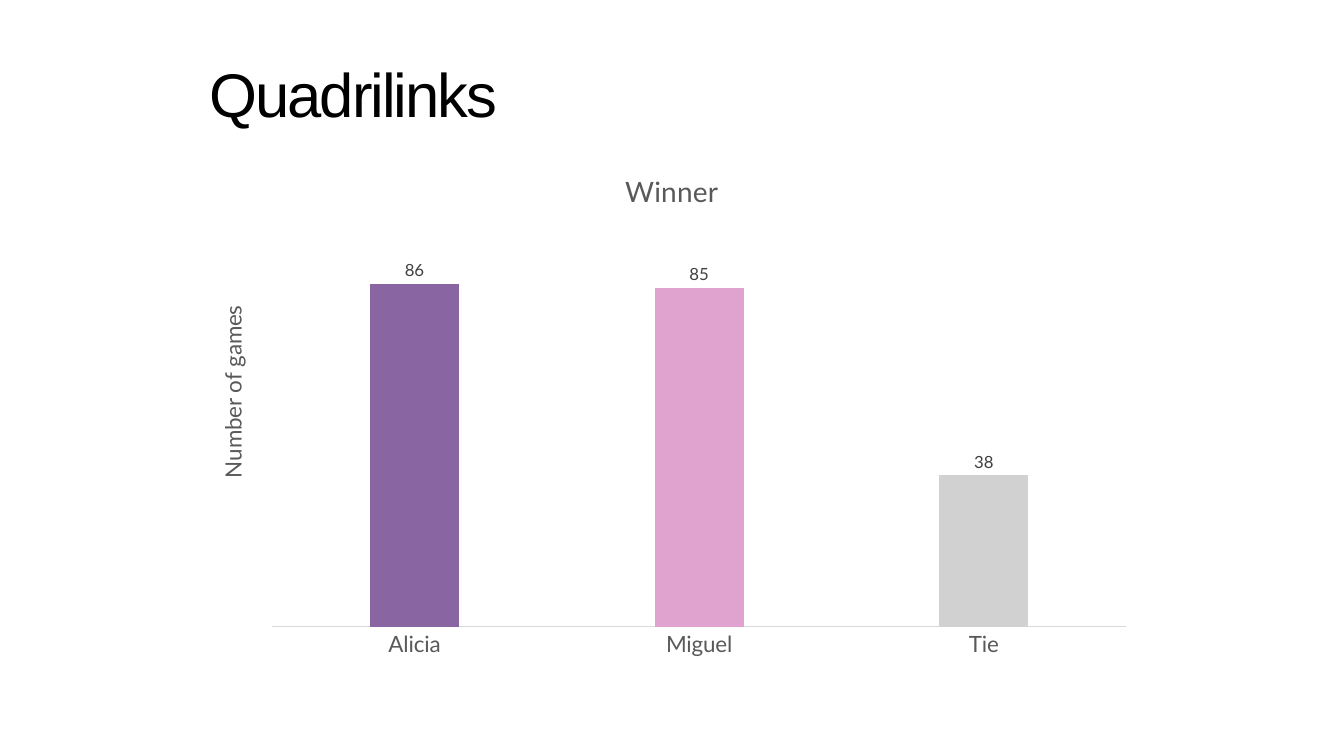
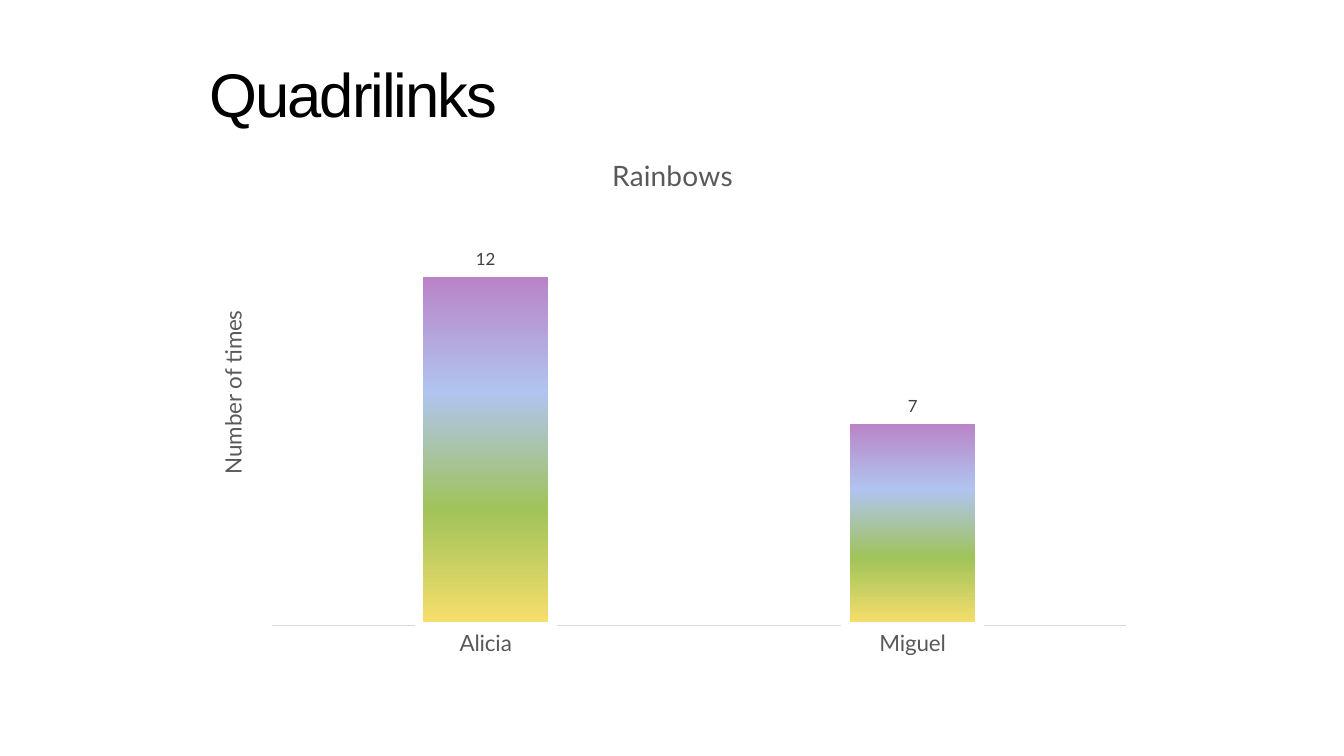
from dataclasses import dataclass

from lxml import etree
from pptx import Presentation
from pptx.chart.data import CategoryChartData
from pptx.dml.color import RGBColor
from pptx.enum import chart as charts, text as texts
from pptx.oxml.ns import qn
from pptx.util import Inches, Pt


@dataclass(frozen=True)
class Theme:
    title_font: str = "Arial"
    chart_font: str = "Lato"
    black: str = "000000"
    grey: str = "595959"
    label: str = "404040"
    axis: str = "D9D9D9"
    white: str = "FFFFFF"
    title_size: int = 44
    heading_size: int = 20
    axis_size: int = 16
    label_size: int = 12
    base_size: int = 10


THEME = Theme()
RAINBOW = [(0, "F9DF6D"), (33, "A0C35A"), (66, "B0C4EF"), (100, "BA81C5")]

TITLE = "Quadrilinks"
# Lengths are inches on the slide; "plot" is the top and bottom of the bars' area.
SLIDES = [
    dict(heading="Winner", heading_left=6.15,
         axis="Number of games", axis_top=2.99,
         values={"Alicia": 86, "Miguel": 85, "Tie": 38},
         colors=["8966A1", "E0A2CF", "D1D1D1"],
         maximum=100, top=1.49, plot=(2.26, 6.22)),
    dict(heading="Rainbows", heading_left=6.02,
         axis="Number of times", axis_top=3.04,
         values={"Alicia": 12, "Miguel": 7},
         gradient=RAINBOW, outline=6,
         maximum=14, top=1.34, plot=(2.12, 6.21)),
]
CHART_LEFT, CHART_WIDTH, CHART_BOTTOM = 1.98, 9.38, 6.61
PLOT_LEFT, PLOT_WIDTH = 2.7, 8.47
AXIS_TITLE_LEFT = 2.11
HEADING_GAP = 0.15


def rgb(color):
    return RGBColor.from_string(color)


def set_font(font, size, color=THEME.grey, name=THEME.chart_font):
    font.size, font.name, font.bold = Pt(size), name, False
    font.color.rgb = rgb(color)


def set_text(frame, content, size, spacing=None, line=None, align=None, **font):
    para = frame.paragraphs[0]
    span = para.add_run()
    span.text = content
    set_font(span.font, size, **font)
    if line:
        para.line_spacing = line
    if align:
        para.alignment = align
    if spacing:
        span.font._element.set("spc", str(int(spacing * 100)))


def place(element, index, top, left, y, width=None, height=None):
    """Give a chart part a manual layout, from slide inches to chart fractions."""
    for old in element.findall(qn("c:layout")):
        element.remove(old)
    layout = etree.Element(qn("c:layout"))
    manual = etree.SubElement(layout, qn("c:manualLayout"))
    chart_height = CHART_BOTTOM - top
    settings = [("xMode", "edge"), ("yMode", "edge"),
                ("x", (left - CHART_LEFT) / CHART_WIDTH),
                ("y", (y - top) / chart_height)]
    if width:
        settings.insert(0, ("layoutTarget", "inner"))
        settings += [("w", width / CHART_WIDTH), ("h", height / chart_height)]
    for tag, value in settings:
        etree.SubElement(manual, qn(f"c:{tag}")).set("val", str(value))
    element.insert(index, layout)


def fill_gradient(series, stops):
    """Fill with the stops running upwards from the base of each bar."""
    fill = series.format.fill
    fill.gradient()
    fill.gradient_angle = 90
    stop_list = series._element.find(".//" + qn("a:gsLst"))
    for old in list(stop_list):
        stop_list.remove(old)
    for position, color in stops:
        stop = etree.SubElement(stop_list, qn("a:gs"), pos=str(position * 1000))
        etree.SubElement(stop, qn("a:srgbClr"), val=color)


def style_bars(plot, content):
    plot.gap_width, plot.overlap, plot.vary_by_categories = 219, -27, False
    plot.has_data_labels = True
    labels = plot.data_labels
    labels.show_value = True
    labels.position = charts.XL_LABEL_POSITION.OUTSIDE_END
    set_font(labels.font, THEME.label_size, THEME.label)

    series = plot.series[0]
    if "gradient" in content:
        fill_gradient(series, content["gradient"])
    for index, color in enumerate(content.get("colors", [])):
        fill = series.points[index].format.fill
        fill.solid()
        fill.fore_color.rgb = rgb(color)
    if "outline" in content:
        series.format.line.color.rgb = rgb(THEME.white)
        series.format.line.width = Pt(content["outline"])


def style_axes(chart, content):
    for axis in (chart.category_axis, chart.value_axis):
        axis.has_major_gridlines = False
        axis.major_tick_mark = axis.minor_tick_mark = charts.XL_TICK_MARK.NONE
    categories, values = chart.category_axis, chart.value_axis
    set_font(categories.tick_labels.font, THEME.axis_size)
    categories.format.line.color.rgb = rgb(THEME.axis)
    categories.format.line.width = Pt(0.75)

    values.minimum_scale, values.maximum_scale = 0, content["maximum"]
    values.tick_label_position = charts.XL_TICK_LABEL_POSITION.NONE
    values.format.line.fill.background()
    frame = values.axis_title.text_frame
    set_text(frame, content["axis"], THEME.axis_size)
    body = frame._element.find(qn("a:bodyPr"))
    body.set("rot", "-5400000")
    body.set("vert", "horz")
    place(values.axis_title._element, 1, content["top"],
          AXIS_TITLE_LEFT, content["axis_top"])


def add_column_chart(page, content):
    data = CategoryChartData()
    data.categories = list(content["values"])
    data.add_series("Series 1", list(content["values"].values()))
    top = content["top"]
    chart = page.shapes.add_chart(
        charts.XL_CHART_TYPE.COLUMN_CLUSTERED, Inches(CHART_LEFT), Inches(top),
        Inches(CHART_WIDTH), Inches(CHART_BOTTOM - top), data).chart
    chart.has_legend = False
    set_font(chart.font, THEME.base_size, THEME.black)

    set_text(chart.chart_title.text_frame, content["heading"], THEME.heading_size)
    place(chart.chart_title._element, 1, top,
          content["heading_left"], top + HEADING_GAP)
    style_bars(chart.plots[0], content)
    style_axes(chart, content)
    plot_top, plot_bottom = content["plot"]
    place(chart._chartSpace.find(".//" + qn("c:plotArea")), 0, top,
          PLOT_LEFT, plot_top, PLOT_WIDTH, plot_bottom - plot_top)


def prepare_layout(deck):
    """Place the title once, on the layout that every slide uses."""
    layout = deck.slide_layouts.get_by_name("Title Only")
    title = layout.placeholders[0]
    title.left, title.top = Inches(1.98), Inches(0.54)
    title.width, title.height = Inches(7.59), Inches(0.81)
    title.text_frame.vertical_anchor = texts.MSO_ANCHOR.BOTTOM
    return layout


def main():
    deck = Presentation()
    deck.slide_width, deck.slide_height = Inches(13.33), Inches(7.5)
    layout = prepare_layout(deck)
    for content in SLIDES:
        page = deck.slides.add_slide(layout)
        set_text(page.shapes.title.text_frame, TITLE, THEME.title_size,
                 color=THEME.black, name=THEME.title_font, spacing=-1.5,
                 line=0.9, align=texts.PP_ALIGN.LEFT)
        add_column_chart(page, content)
    deck.save("out.pptx")


if __name__ == "__main__":
    main()
